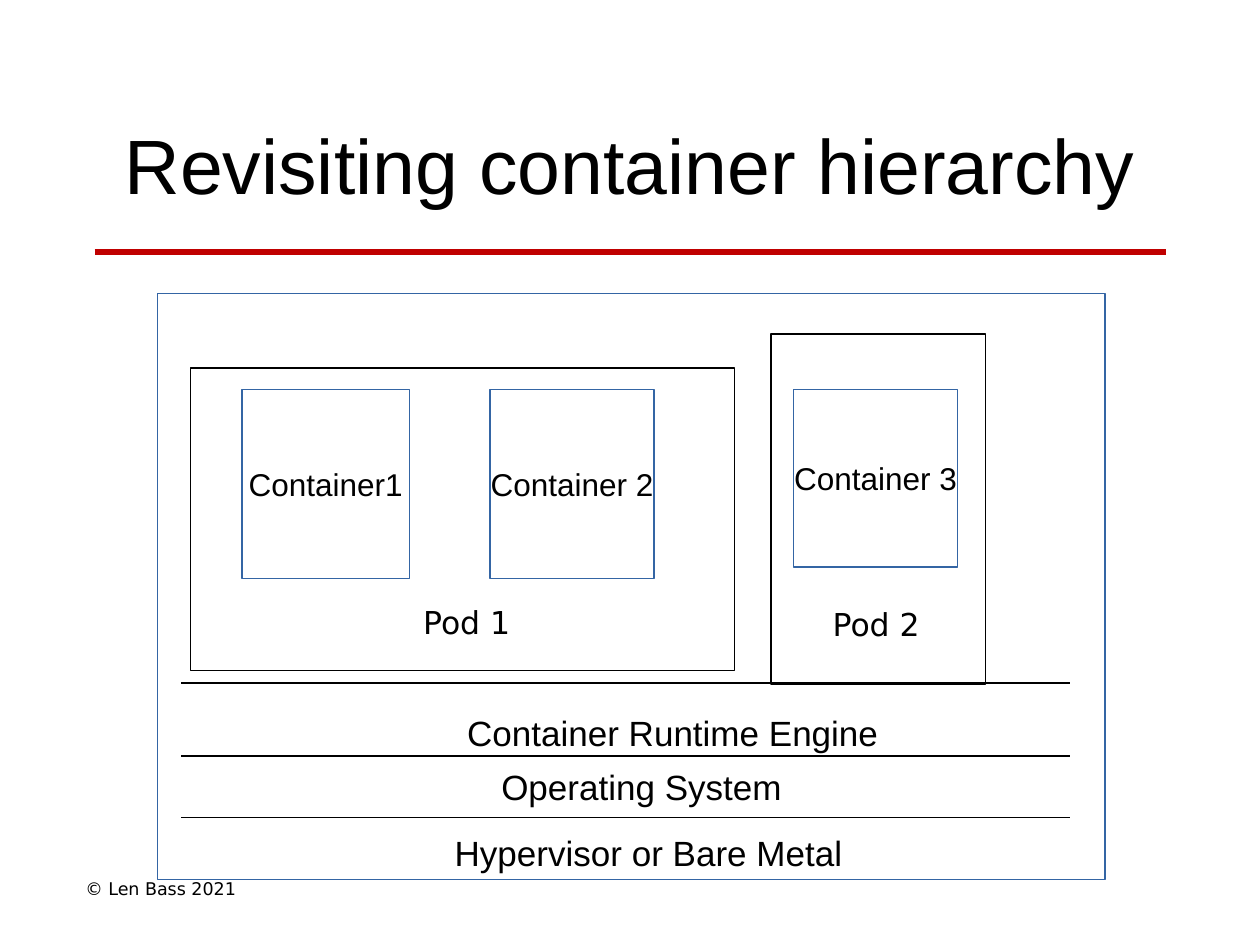
from dataclasses import dataclass

from lxml import etree
from pptx import Presentation
from pptx.dml.color import RGBColor
from pptx.enum.shapes import MSO_CONNECTOR, MSO_SHAPE
from pptx.enum.text import MSO_ANCHOR, MSO_AUTO_SIZE, PP_ALIGN
from pptx.oxml.ns import qn
from pptx.util import Inches, Pt

RECTANGLE = MSO_SHAPE.RECTANGLE
STRAIGHT = MSO_CONNECTOR.STRAIGHT
LEFT, CENTER = PP_ALIGN.LEFT, PP_ALIGN.CENTER
TOP, MIDDLE = MSO_ANCHOR.TOP, MSO_ANCHOR.MIDDLE
FIT_SHAPE = MSO_AUTO_SIZE.SHAPE_TO_FIT_TEXT
COLUMNS, ROWS = 100, 75


@dataclass(frozen=True)
class Theme:
    ink: str = "000000"
    paper: str = "FFFFFF"
    accent: str = "C00000"
    border: str = "3465A4"
    font: str = "Arial"
    label_font: str = "DejaVu Sans"
    title_size: int = 44
    layer_size: int = 20
    label_size: int = 18
    footer_size: int = 10
    thin: float = 0.75
    thick: float = 3


class Diagram:
    """Draws on one slide; places are (column, row, columns, rows)."""

    def __init__(self, deck, theme):
        self.theme = theme
        self.column = deck.slide_width / COLUMNS
        self.row = deck.slide_height / ROWS
        self.slide = deck.slides.add_slide(deck.slide_layouts[6])
        self.shapes = self.slide.shapes

    def place(self, left, top, width, height):
        return (round(left * self.column), round(top * self.row),
                round(width * self.column), round(height * self.row))

    def add_words(self, frame, words, size, font, align, anchor, wrap):
        frame.word_wrap = wrap
        frame.vertical_anchor = anchor
        paragraph = frame.paragraphs[0]
        paragraph.alignment = align
        run = paragraph.add_run()
        run.text = words
        run.font.size = Pt(size)
        run.font.name = font
        run.font.color.rgb = RGBColor.from_string(self.theme.ink)

    def text(self, words, at, size, font, align=LEFT, anchor=TOP,
             wrap=True, grow=False):
        frame = self.shapes.add_textbox(*self.place(*at)).text_frame
        self.add_words(frame, words, size, font, align, anchor, wrap)
        if grow:
            frame.auto_size = FIT_SHAPE

    def box(self, at, border, fill=None, words=None):
        box = self.shapes.add_shape(RECTANGLE, *self.place(*at))
        box.shadow.inherit = False
        if fill:
            box.fill.solid()
            box.fill.fore_color.rgb = RGBColor.from_string(fill)
        else:
            box.fill.background()
        box.line.color.rgb = RGBColor.from_string(border)
        box.line.width = Pt(self.theme.thin)
        if words:
            self.add_words(box.text_frame, words, self.theme.label_size,
                           self.theme.font, CENTER, MIDDLE, False)

    def rule(self, left, right, row, color, weight):
        x, y, length, _ = self.place(left, row, right - left, 0)
        rule = self.shapes.add_connector(STRAIGHT, x, y, x + length, y)
        rule.line.color.rgb = RGBColor.from_string(color)
        rule.line.width = Pt(weight)
        etree.SubElement(rule._element.spPr, qn("a:effectLst"))

    def pod(self, name, frame_at, name_at, containers):
        """A pod is one group: its frame, its containers and its name."""
        theme = self.theme
        self.shapes = self.slide.shapes.add_group_shape().shapes
        self.box(frame_at, theme.ink)
        for container, at in containers:
            self.box(at, theme.border, theme.paper, container)
        self.text(name, (*name_at, 9.1, 4), theme.label_size,
                  theme.label_font, wrap=False, grow=True)
        self.shapes = self.slide.shapes


def main():
    deck = Presentation()
    deck.slide_width, deck.slide_height = Inches(10), Inches(7.5)
    theme = Theme()
    diagram = Diagram(deck, theme)

    # Footer, host machine and title
    diagram.text("© Len Bass 2021", (5.8, 69.2, 21.7, 2.7),
                 theme.footer_size, theme.label_font, grow=True)
    diagram.box((12.5, 23.3, 75.2, 46.5), theme.border, theme.paper)
    diagram.text("Revisiting container hierarchy", (7.5, 6.7, 85, 12.5),
                 theme.title_size, theme.font, CENTER, MIDDLE)
    diagram.rule(7.5, 92.5, 20, theme.accent, theme.thick)

    # Layers below the pods, each under its own rule
    layers = [
        ("Container Runtime Engine", 54.2, (36.1, 56, 41.4, 3)),
        ("Operating System", 60, (38.8, 60.3, 32.8, 3.2)),
        ("Hypervisor or Bare Metal", 64.9, (35.1, 65.5, 32.8, 3.2)),
    ]
    for layer, rule_row, at in layers:
        diagram.rule(14.4, 84.9, rule_row, theme.ink, theme.thin)
        diagram.text(layer, at, theme.layer_size, theme.font)

    # Pods and their containers
    diagram.pod("Pod 1", (15.1, 29.2, 43.2, 24), (32.6, 47.4), [
        ("Container1", (19.2, 30.9, 13.3, 15)),
        ("Container 2", (38.9, 30.9, 13, 15)),
    ])
    diagram.pod("Pod 2", (61.2, 26.5, 17, 27.8), (65.1, 47.5), [
        ("Container 3", (63, 30.9, 13, 14.1)),
    ])

    deck.save("out.pptx")


if __name__ == "__main__":
    main()
